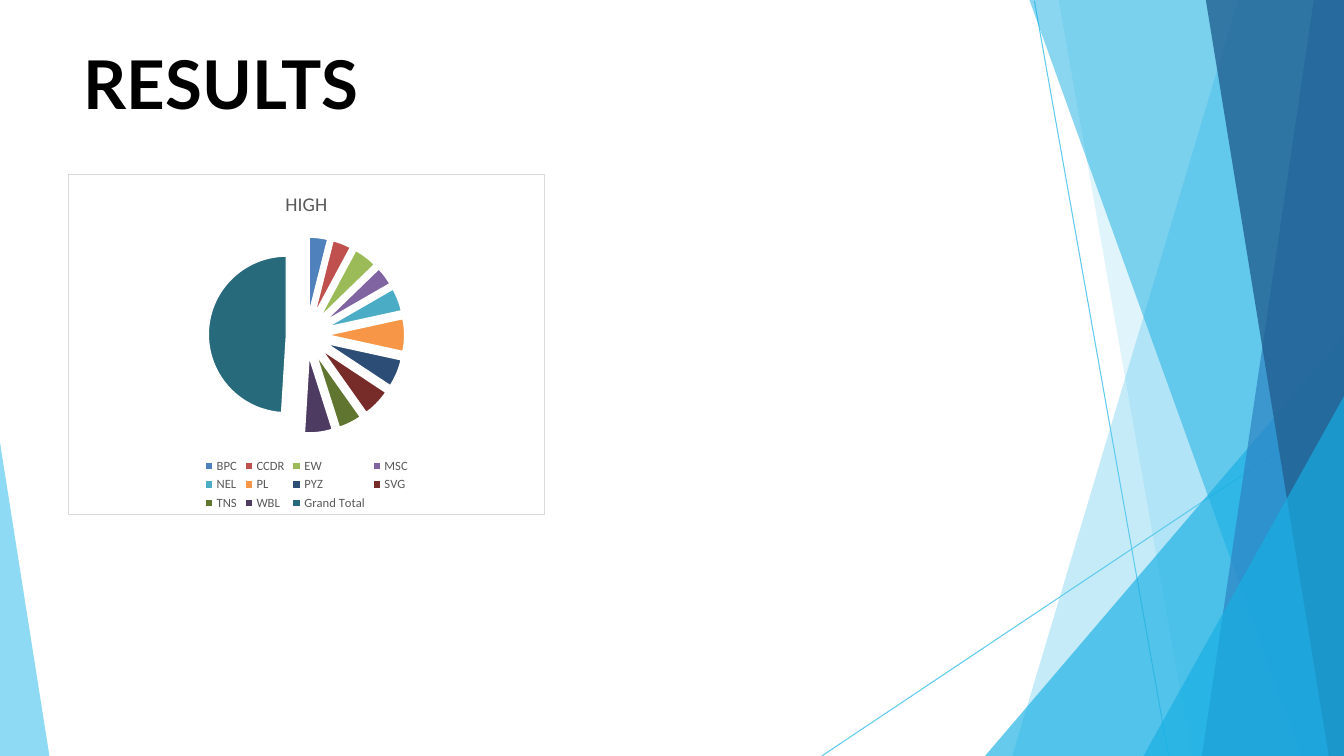
from dataclasses import dataclass

from lxml import etree
from pptx import Presentation
from pptx.chart.data import CategoryChartData
from pptx.dml.color import RGBColor
from pptx.enum.chart import XL_CHART_TYPE, XL_LEGEND_POSITION
from pptx.enum.shapes import MSO_CONNECTOR
from pptx.enum.text import MSO_AUTO_SIZE
from pptx.oxml import parse_xml
from pptx.oxml.ns import nsdecls, qn
from pptx.slide import Slide
from pptx.util import Inches, Pt

PIE = XL_CHART_TYPE.PIE_EXPLODED
LEGEND_BOTTOM = XL_LEGEND_POSITION.BOTTOM
STRAIGHT = MSO_CONNECTOR.STRAIGHT
NO_AUTOFIT = MSO_AUTO_SIZE.NONE
WIDTH, HEIGHT = 13.33, 7.5


@dataclass(frozen=True)
class Theme:
    sky: str = "5FCAEE"
    cyan: str = "17AFE3"
    blue: str = "2D83C3"
    navy: str = "226192"
    black: str = "000000"
    white: str = "FFFFFF"
    grey: str = "595959"
    border: str = "D9D9D9"
    title_font: str = "Lato"
    chart_font: str = "Calibri"
    title_size: int = 48
    chart_title_size: int = 14
    chart_size: int = 10
    legend_size: int = 9
    line_width: float = 0.75
    slice_line_width: float = 1.5


@dataclass(frozen=True)
class Facet:
    points: tuple[tuple[float, float], ...]
    color: str
    opacity: int


@dataclass(frozen=True)
class Ray:
    start: tuple[float, float]
    end: tuple[float, float]


@dataclass(frozen=True)
class Slice:
    name: str
    value: int
    color: str


THEME = Theme()
RAYS = (Ray((10.26, 0.01), (11.59, HEIGHT)), Ray((WIDTH, 4.04), (8.15, HEIGHT)))


def right_band(top_x: float, bottom_x: float, color: str, opacity: int) -> Facet:
    """Describe a full-height facet that reaches the right edge."""
    points = ((WIDTH, 0), (top_x, 0), (bottom_x, HEIGHT), (WIDTH, HEIGHT))
    return Facet(points, color, opacity)


def right_corner(top: float, left: float) -> Facet:
    """Describe a triangular facet in the lower right corner."""
    return Facet(((WIDTH, top), (left, HEIGHT), (WIDTH, HEIGHT)), THEME.cyan, 66)


FACETS = (
    right_band(12.28, 10.04, THEME.sky, 36),
    right_band(10.5, 11.82, THEME.sky, 20),
    right_corner(3.33, 9.77),
    right_band(10.21, 12.91, THEME.cyan, 50),
    right_band(13.03, 11.92, THEME.blue, 70),
    right_band(11.96, 13.18, THEME.navy, 80),
    right_corner(3.93, 11.34),
    Facet(((0, 4.39), (0, HEIGHT), (0.49, HEIGHT)), THEME.sky, 70),
)
SLICES = (
    Slice("BPC", 4, "4F81BD"),
    Slice("CCDR", 4, "C0504D"),
    Slice("EW", 5, "9BBB59"),
    Slice("MSC", 4, "8064A2"),
    Slice("NEL", 5, "4BACC6"),
    Slice("PL", 7, "F79646"),
    Slice("PYZ", 6, "2C4D75"),
    Slice("SVG", 6, "772C2A"),
    Slice("TNS", 5, "5F7530"),
    Slice("WBL", 6, "4D3B62"),
    Slice("Grand Total", 50, "276A7C"),
)


def style_font(font, name: str, size: float, color: str, bold: bool = False) -> None:
    """Set the face, size, colour and weight of a font."""
    font.name = name
    font.size = Pt(size)
    font.bold = bold
    font.color.rgb = RGBColor.from_string(color)


def draw_ray(slide: Slide, ray: Ray) -> None:
    """Draw a thin straight background line."""
    ends = [Inches(length) for length in ray.start + ray.end]
    connector = slide.shapes.add_connector(STRAIGHT, *ends)
    connector.line.color.rgb = RGBColor.from_string(THEME.sky)
    connector.line.width = Pt(THEME.line_width)
    etree.SubElement(connector.element.spPr, qn("a:effectLst"))


def draw_facet(slide: Slide, facet: Facet) -> None:
    """Draw a translucent background polygon."""
    first, *others = [(Inches(x), Inches(y)) for x, y in facet.points]
    builder = slide.shapes.build_freeform(*first)
    builder.add_line_segments(others, close=True)
    shape = builder.convert_to_shape()
    shape.shadow.inherit = False
    shape.line.fill.background()
    shape.fill.solid()
    shape.fill.fore_color.rgb = RGBColor.from_string(facet.color)
    color = shape.element.spPr.find(f"{qn('a:solidFill')}/{qn('a:srgbClr')}")
    etree.SubElement(color, qn("a:alpha")).set("val", str(facet.opacity * 1000))


def draw_title(slide: Slide, text: str) -> None:
    """Write the slide title."""
    box = slide.shapes.add_textbox(Inches(0.83), Inches(0.42), Inches(11.68), Inches(0.79))
    frame = box.text_frame
    frame.margin_left = frame.margin_right = frame.margin_top = frame.margin_bottom = 0
    frame.word_wrap = True
    frame.auto_size = NO_AUTOFIT
    frame.text = text
    font = frame.paragraphs[0].runs[0].font
    style_font(font, THEME.title_font, THEME.title_size, THEME.black, bold=True)


def draw_pie(slide: Slide, title: str, slices: tuple[Slice, ...]) -> None:
    """Draw the framed pie chart with separated slices."""
    data = CategoryChartData()
    data.categories = [part.name for part in slices]
    data.add_series(title, [part.value for part in slices])
    frame = slide.shapes.add_chart(
        PIE, Inches(0.67), Inches(1.73), Inches(4.74), Inches(3.38), data
    )
    chart = frame.chart
    style_font(chart.font, THEME.chart_font, THEME.chart_size, THEME.black)
    chart.has_title = True
    chart.chart_title.include_in_layout = False
    chart.chart_title.text_frame.text = title
    title_run = chart.chart_title.text_frame.paragraphs[0].runs[0]
    style_font(title_run.font, THEME.chart_font, THEME.chart_title_size, THEME.grey)
    chart.has_legend = True
    chart.legend.position = LEGEND_BOTTOM
    chart.legend.include_in_layout = False
    style_font(chart.legend.font, THEME.chart_font, THEME.legend_size, THEME.grey)

    plot = chart.plots[0]
    plot.vary_by_categories = True
    series = plot.series[0]
    for index, part in enumerate(slices):
        style = series.points[index].format
        style.fill.solid()
        style.fill.fore_color.rgb = RGBColor.from_string(part.color)
        style.line.color.rgb = RGBColor.from_string(THEME.white)
        style.line.width = Pt(THEME.slice_line_width)
    for explosion in series._element.findall(qn("c:explosion")):
        series._element.remove(explosion)
    explosion = parse_xml(f'<c:explosion {nsdecls("c")} val="25"/>')
    series._element.find(qn("c:dPt")).addprevious(explosion)

    area = parse_xml(
        f'<c:spPr {nsdecls("c", "a")}>'
        f'<a:solidFill><a:srgbClr val="{THEME.white}"/></a:solidFill>'
        f'<a:ln w="{Pt(THEME.line_width)}"><a:solidFill>'
        f'<a:srgbClr val="{THEME.border}"/></a:solidFill></a:ln></c:spPr>'
    )
    chart._chartSpace.find(qn("c:chart")).addnext(area)


def main() -> None:
    """Build and save the results slide."""
    presentation = Presentation()
    presentation.slide_width = Inches(WIDTH)
    presentation.slide_height = Inches(HEIGHT)
    slide = presentation.slides.add_slide(presentation.slide_layouts[6])
    for ray in RAYS:
        draw_ray(slide, ray)
    for facet in FACETS:
        draw_facet(slide, facet)
    draw_title(slide, "RESULTS")
    draw_pie(slide, "HIGH", SLICES)
    presentation.save("out.pptx")


if __name__ == "__main__":
    main()
